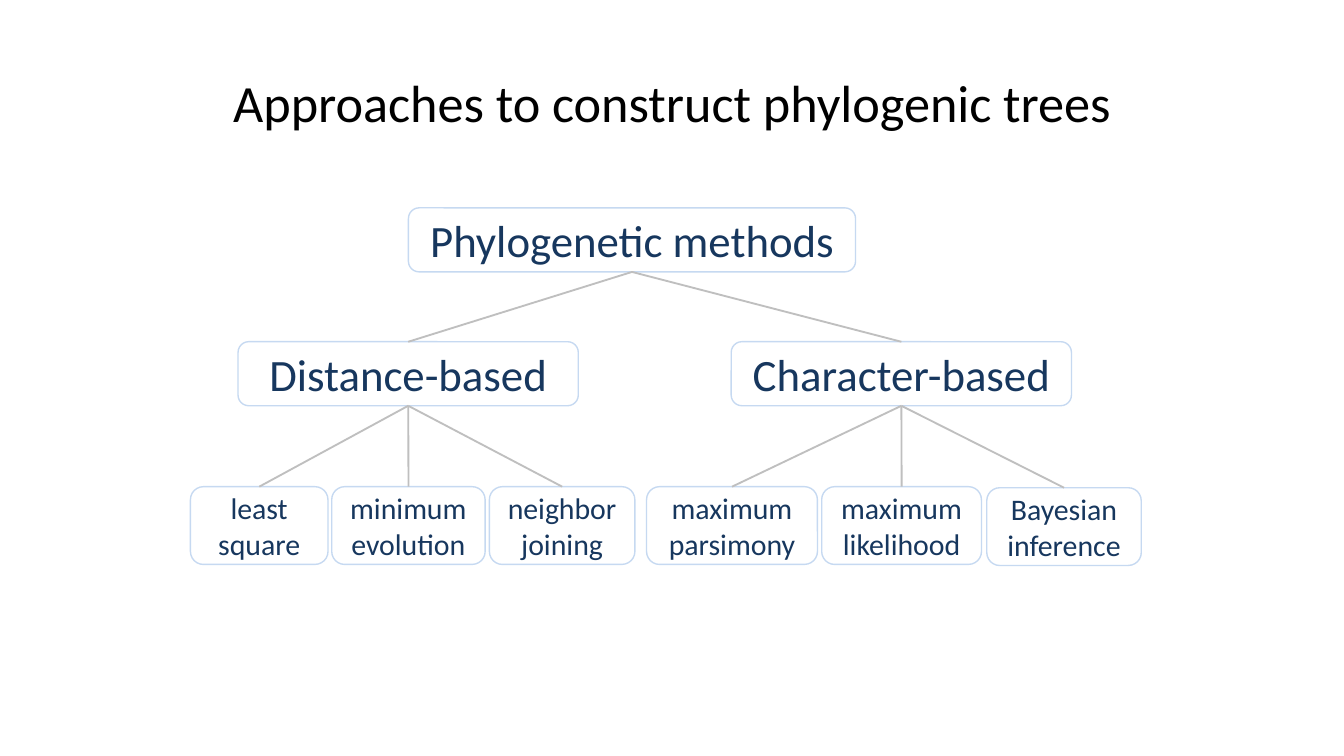
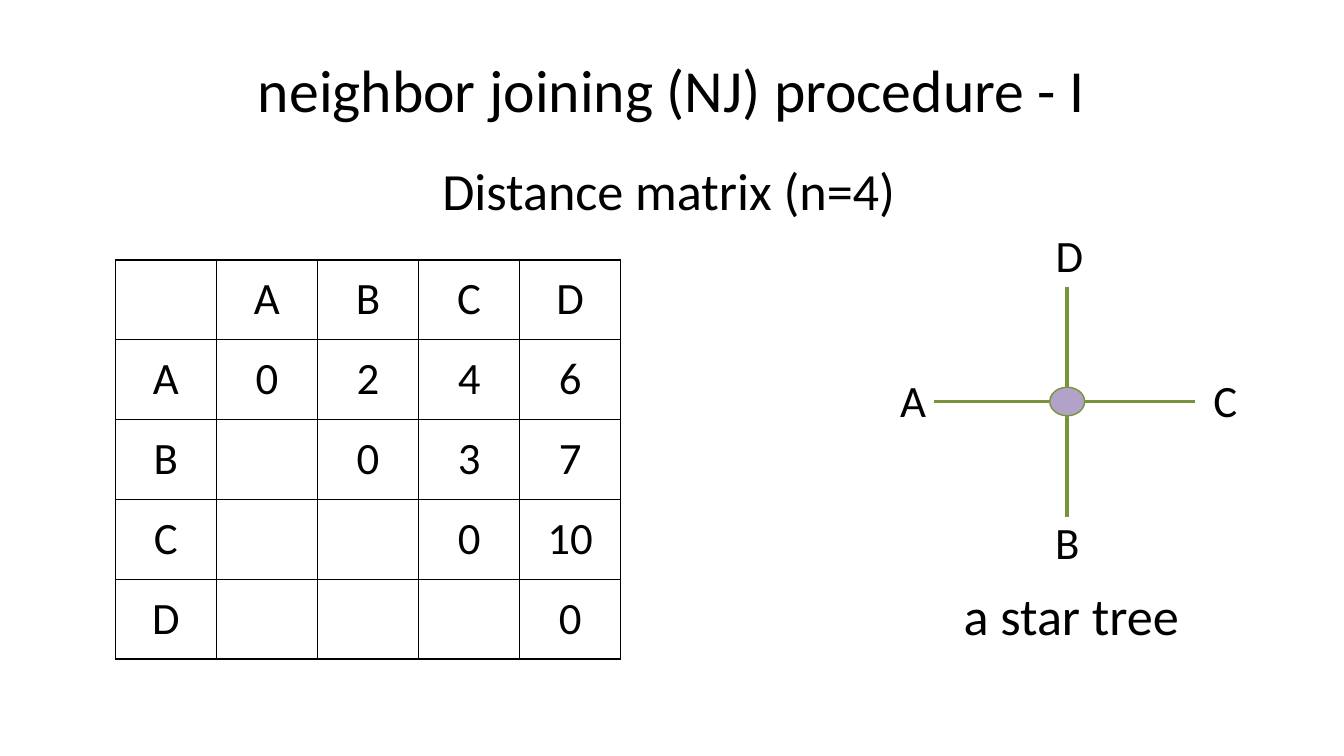
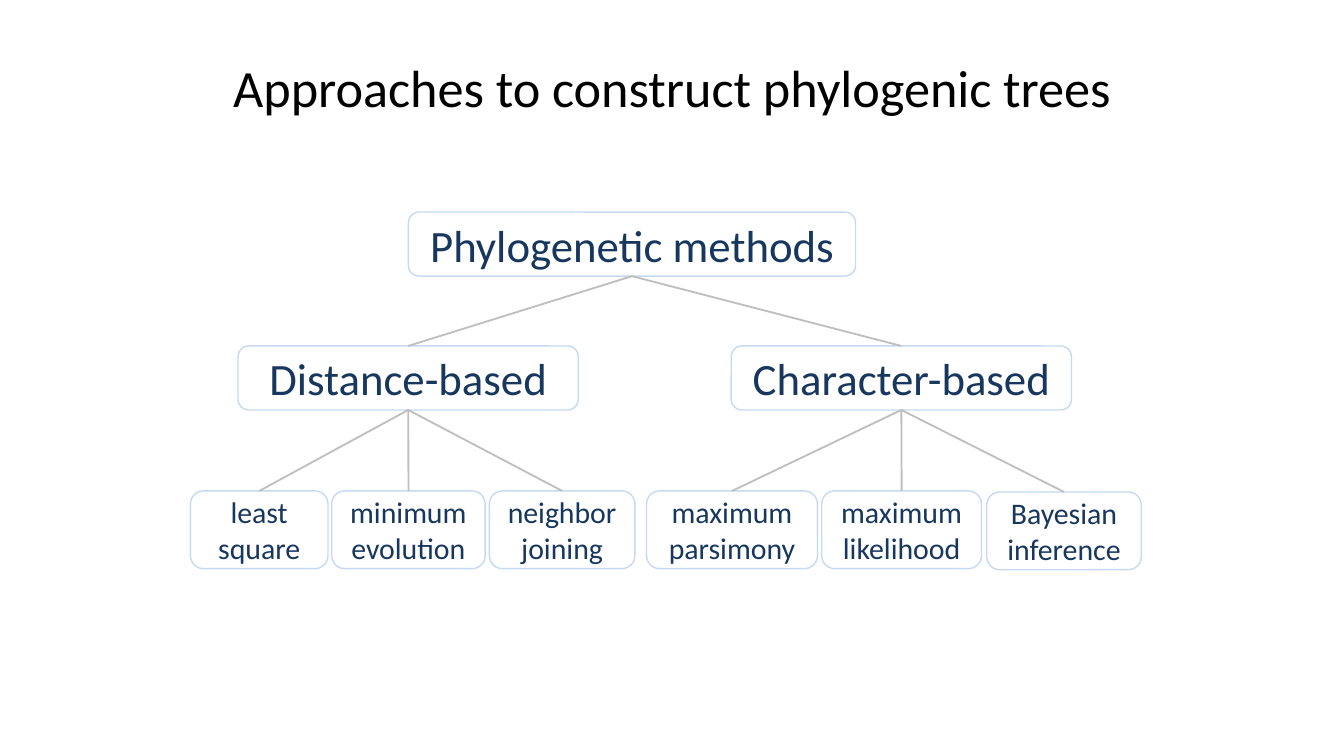
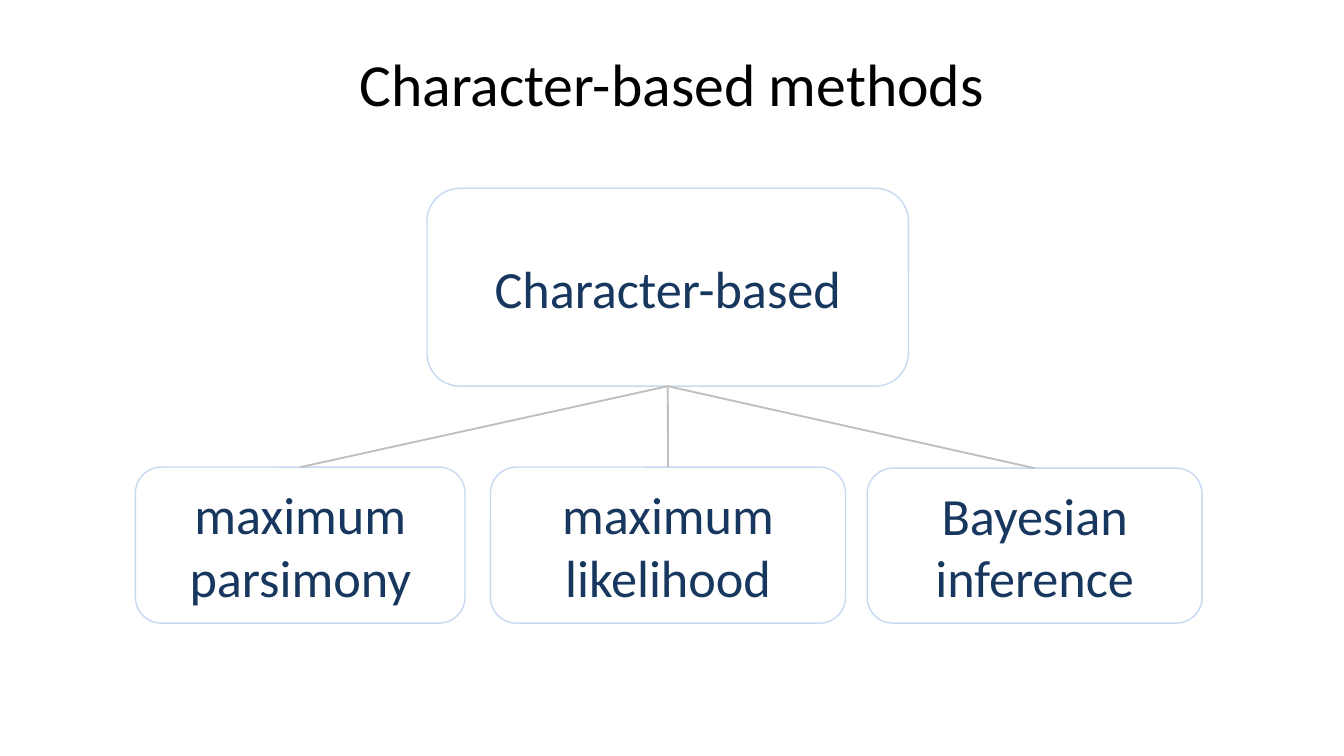
from pptx import Presentation
from pptx import util as u
from pptx.dml import color
from pptx.enum import shapes, text
from pptx.oxml import xmlchemy

COLORS = {
    "text": "000000",
    "node_text": "17375E",
    "node_line": "C6D9F1",
    "branch": "BFBFBF",
    "star": "77933C",
    "hub": "B3A2C7",
}
BOTTOM, TOP = 2, 0


def rgb(name):
    return color.RGBColor.from_string(COLORS[name])


class Deck:
    """Holds the shared style and the current slide; lengths are in cm."""

    font = "Calibri"

    def __init__(self):
        self.prs = Presentation()
        self.prs.slide_width, self.prs.slide_height = u.Cm(25.4), u.Cm(14.29)
        self.slide = None

    def new_slide(self, title, top, height, size):
        self.slide = self.prs.slides.add_slide(self.prs.slide_layouts[6])
        box = self.slide.shapes.add_textbox(*map(u.Cm, (1.27, top, 22.86, height)))
        box.text_frame.word_wrap = True
        self.put_text(box.text_frame, title, size, centered=True)

    def put_text(self, frame, words, size, ink="text", centered=False):
        frame.text = words
        paragraph = frame.paragraphs[0]
        if centered:
            paragraph.alignment = text.PP_ALIGN.CENTER
            frame.vertical_anchor = text.MSO_ANCHOR.MIDDLE
        for run in paragraph.runs:
            run.font.name = self.font
            run.font.size = u.Pt(size)
            run.font.color.rgb = rgb(ink)

    def label(self, words, left, top, width, height, size):
        box = self.slide.shapes.add_textbox(*map(u.Cm, (left, top, width, height)))
        box.text_frame.word_wrap = False
        box.text_frame.auto_size = text.MSO_AUTO_SIZE.SHAPE_TO_FIT_TEXT
        self.put_text(box.text_frame, words, size)

    def shape(self, kind, at, line, fill=None):
        item = self.slide.shapes.add_shape(kind, *map(u.Cm, at))
        item.shadow.inherit = False
        if fill:
            item.fill.solid()
            item.fill.fore_color.rgb = rgb(fill)
        else:
            item.fill.background()
        item.line.color.rgb = rgb(line)
        item.line.width = u.Pt(0.75)
        return item

    def node(self, words, left, top, width, height, size):
        item = self.shape(shapes.MSO_SHAPE.ROUNDED_RECTANGLE,
                          (left, top, width, height), "node_line")
        item.text_frame.word_wrap = True
        self.put_text(item.text_frame, words, size, "node_text", centered=True)
        return item

    def line(self, ends, ink, width):
        item = self.slide.shapes.add_connector(
            shapes.MSO_CONNECTOR.STRAIGHT, *map(u.Cm, ends))
        item.line.color.rgb = rgb(ink)
        item.line.width = u.Pt(width)
        item._element.spPr.append(xmlchemy.OxmlElement("a:effectLst"))
        return item

    def branches(self, parent, children):
        for child in children:
            branch = self.line((0, 0, 1, 1), "branch", 1)
            branch.begin_connect(parent, BOTTOM)
            branch.end_connect(child, TOP)

    def table(self, rows, left, top, col_width, row_height, size):
        count = len(rows[0])
        grid = self.slide.shapes.add_table(
            len(rows), count, u.Cm(left), u.Cm(top),
            u.Cm(col_width * count), u.Cm(row_height * len(rows))).table
        grid.first_row = grid.horz_banding = False
        for column in grid.columns:
            column.width = u.Cm(col_width)
        for r, row in enumerate(rows):
            grid.rows[r].height = u.Cm(row_height)
            for c, value in enumerate(row):
                cell = grid.cell(r, c)
                self.borders(cell)
                cell.fill.background()
                cell.vertical_anchor = text.MSO_ANCHOR.MIDDLE
                if value:
                    self.put_text(cell.text_frame, value, size)
                    cell.text_frame.paragraphs[0].alignment = text.PP_ALIGN.CENTER

    def borders(self, cell):
        properties = cell._tc.get_or_add_tcPr()
        for side in "LRTB":
            edge = xmlchemy.OxmlElement(f"a:ln{side}")
            edge.set("w", str(int(u.Pt(1))))
            fill = xmlchemy.OxmlElement("a:solidFill")
            ink = xmlchemy.OxmlElement("a:srgbClr")
            ink.set("val", COLORS["text"])
            fill.append(ink)
            edge.append(fill)
            properties.append(edge)


# Method families: name, left; then leaves as name, left, width, extra drop
FAMILIES = [
    ("Distance-based", 4.5, [
        ("least square", 3.6, 2.6, 0),
        ("minimum evolution", 6.27, 2.9, 0),
        ("neighbor joining", 9.25, 2.75, 0)]),
    ("Character-based", 13.82, [
        ("maximum parsimony", 12.22, 3.23, 0),
        ("maximum likelihood", 15.53, 3.02, 0),
        ("Bayesian inference", 18.65, 2.92, 0.02)]),
]


def methods_tree(deck, top):
    root = deck.node("Phylogenetic methods", 7.72, top, 8.45, 1.21, 24)
    families = []
    for name, left, leaves in FAMILIES:
        family = deck.node(name, left, top + 2.53, 6.43, 1.21, 24)
        families.append((family, [
            deck.node(leaf, x, top + 5.27 + drop, width, 1.47, 16)
            for leaf, x, width, drop in leaves]))
    deck.branches(root, [family for family, _ in families])
    for family, leaves in families:
        deck.branches(family, leaves)


def star_tree(deck):
    x, y = 20.17, 7.59
    half_width, half_height = 0.33, 0.27
    deck.shape(shapes.MSO_SHAPE.OVAL,
               (x - half_width, y - half_height, 2 * half_width, 2 * half_height),
               "star", "hub")
    for ends in [(x, 5.42, x, y - half_height), (x, y + half_height, x, 9.78),
                 (22.58, y, x + half_width, y), (17.65, y, x - half_width, y)]:
        deck.line(ends, "star", 2)
    for taxon, left, top in [("A", 16.76, 6.92), ("B", 19.69, 9.6),
                             ("C", 22.68, 6.92), ("D", 19.7, 4.18)]:
        deck.label(taxon, left, top, 1, 1.28, 24)


def main():
    deck = Deck()

    # Overview of methods
    approaches = "Approaches to construct phylogenic trees"
    deck.new_slide(approaches, 1.13, 1.6, 28)
    methods_tree(deck, 3.93)

    # Neighbor joining: distances and star tree
    deck.new_slide("neighbor joining (NJ) procedure - I", 0.72, 1.9, 32)
    deck.label("Distance matrix (n=4)", 8.11, 2.87, 9.17, 1.45, 28)
    star_tree(deck)
    distances = [
        ["", "A", "B", "C", "D"],
        ["A", "0", "2", "4", "6"],
        ["B", "", "0", "3", "7"],
        ["C", "", "", "0", "10"],
        ["D", "", "", "", "0"],
    ]
    deck.table(distances, 2.18, 4.91, 1.91, 1.51, 24)
    deck.label("a star tree", 17.96, 10.9, 4.95, 1.45, 28)

    # Overview again
    deck.new_slide(approaches, 0.59, 2.1, 28)
    methods_tree(deck, 4.01)

    # Character-based methods
    deck.new_slide("Character-based methods", 0.59, 1.93, 32)
    family = deck.node("Character-based", 8.07, 3.56, 9.1, 3.74, 28)
    leaves = [deck.node(name, left, top, width, 11.78 - top, 28)
              for name, left, top, width in [
                  ("maximum parsimony", 2.56, 8.83, 6.23),
                  ("maximum likelihood", 9.27, 8.83, 6.71),
                  ("Bayesian inference", 16.39, 8.85, 6.33)]]
    deck.branches(family, leaves)

    deck.prs.save("out.pptx")


if __name__ == "__main__":
    main()
